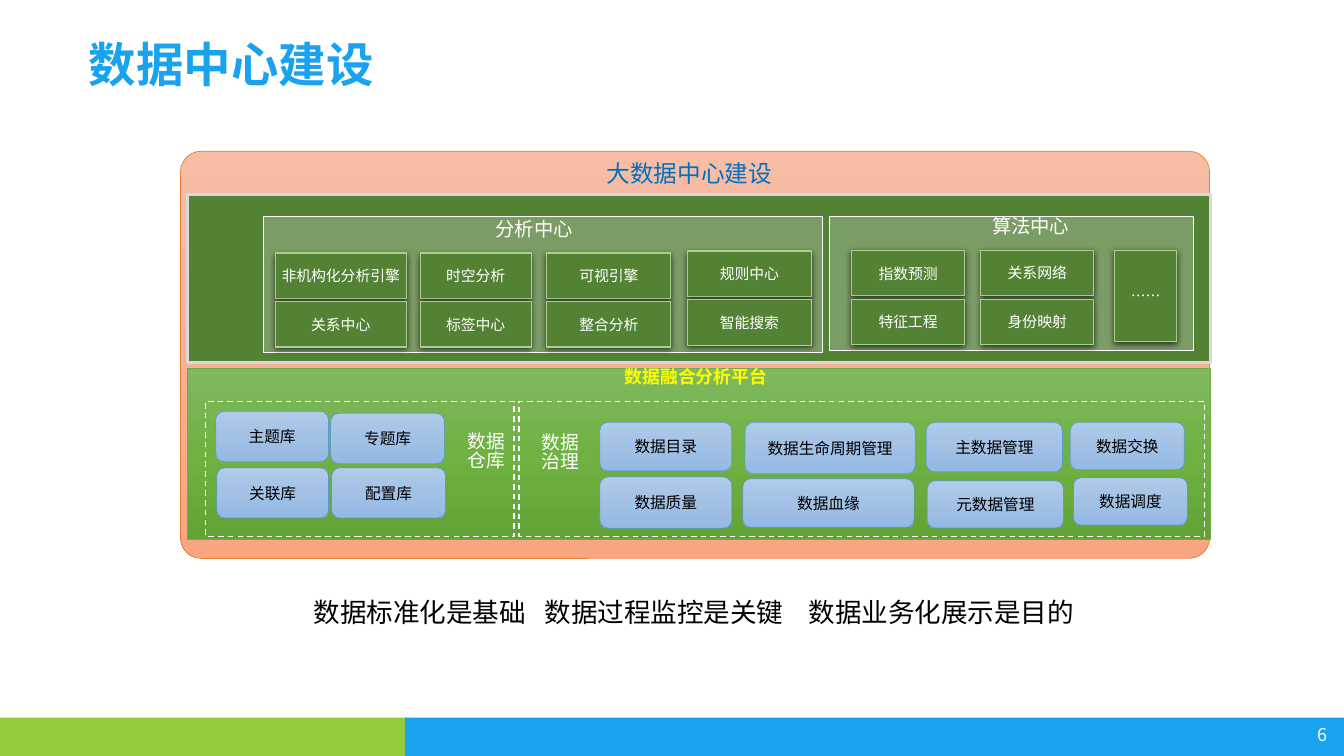
from copy import deepcopy
from lxml import etree
from pptx import Presentation
from pptx import util as u
from pptx.dml import color
from pptx.enum import dml, shapes, text
from pptx.oxml import ns

FONT = "Noto Sans CJK SC"
RECT = shapes.MSO_SHAPE.RECTANGLE
ROUND = shapes.MSO_SHAPE.ROUNDED_RECTANGLE
LEFT, CENTER, RIGHT = text.PP_ALIGN.LEFT, text.PP_ALIGN.CENTER, text.PP_ALIGN.RIGHT
TOP, MIDDLE = text.MSO_ANCHOR.TOP, text.MSO_ANCHOR.MIDDLE
paint = color.RGBColor.from_string

deck = Presentation()
deck.slide_width, deck.slide_height = u.Pt(960), u.Pt(540)
page = deck.slides.add_slide(deck.slide_layouts[6])


def draw(kind, place, fill=None, line=None, width=0.5, alpha=None, dashed=False, shadow=False):
    """Add a preset shape; a tuple of colours as fill makes a vertical gradient."""
    shape = page.shapes.add_shape(kind, *map(u.Pt, place))
    shape.shadow.inherit = False
    properties = shape._element.spPr
    if fill is None:
        shape.fill.background()
    elif isinstance(fill, tuple):
        shape.fill.gradient()
        shape.fill.gradient_angle = 270
        stop_list = properties.find(".//" + ns.qn("a:gsLst"))
        stop_list.insert(1, deepcopy(stop_list[0]))
        for stop, position, shade in zip(shape.fill.gradient_stops, (0, 0.5, 1), fill):
            stop.position = position
            stop.color.rgb = paint(shade)
    else:
        shape.fill.solid()
        shape.fill.fore_color.rgb = paint(fill)
    if alpha:
        solid = properties.find(ns.qn("a:solidFill"))
        etree.SubElement(solid[0], ns.qn("a:alpha"), val=str(alpha * 1000))
    if line:
        shape.line.color.rgb = paint(line)
        shape.line.width = u.Pt(width)
        if dashed:
            shape.line.dash_style = dml.MSO_LINE.DASH
    else:
        shape.line.fill.background()
    if shadow:
        effects = properties.find(ns.qn("a:effectLst"))
        outer = etree.SubElement(effects, ns.qn("a:outerShdw"), blurRad="57150",
                                 dist="19050", dir="5400000", algn="ctr", rotWithShape="0")
        black = etree.SubElement(outer, ns.qn("a:srgbClr"), val="000000")
        etree.SubElement(black, ns.qn("a:alpha"), val="63000")
    return shape


def write(content, size, shade, place=None, box=None, bold=False, align=CENTER,
          anchor=TOP, inset=(7.2, 3.6), spacing=0.9, wrap=True):
    """Write text into a given shape, or into a new text box at place."""
    box = box or page.shapes.add_textbox(*map(u.Pt, place))
    frame = box.text_frame
    frame.word_wrap = wrap
    frame.vertical_anchor = anchor
    frame.margin_left = frame.margin_right = u.Pt(inset[0])
    frame.margin_top = frame.margin_bottom = u.Pt(inset[1])
    frame.text = content
    for para in frame.paragraphs:
        para.alignment = align
        para.line_spacing = spacing
        for span in para.runs:
            span.font.size = u.Pt(size)
            span.font.bold = bold
            span.font.name = FONT
            span.font.color.rgb = paint(shade)
            etree.SubElement(span.font._element, ns.qn("a:ea"), typeface=FONT)
    return box


# Footer band, page number and title
draw(RECT, (0, 512.6, 290.9, 30.2), "90CC3D")
draw(RECT, (289.4, 512.6, 670.6, 30.2), "18A2EF")
write("6", 12.7, "FFFFFF", (852.5, 514, 105, 25.2), align=RIGHT, inset=(9.4, 5))
write("数据中心建设", 33.9, "18A2EF", (56.2, 26, 479.5, 48.2), bold=True, align=LEFT)

# Outer frame and platform panel
frame_panel = draw(ROUND, (128.9, 108, 735.1, 290.9), ("F7BDA5", "F5B196", "F8A582"), "ED7D31")
frame_panel.adjustments[0] = 0.051
draw(RECT, (133.9, 262.8, 730.8, 122.4), ("81B861", "6FB242", "62A336"), "70AD47")

# Data warehouse and data governance modules
modules = [
    ("主题库", 154.1, 293.8, 80.6, 36), ("专题库", 236.2, 295.2, 81.4, 36),
    ("关联库", 154.8, 334.1, 79.9, 36), ("配置库", 236.9, 334.1, 81.4, 36),
    ("数据目录", 428.4, 301.7, 94.3, 34.6), ("数据质量", 428.4, 340.6, 94.3, 36.7),
    ("数据生命周期管理", 532.1, 301.7, 121.7, 36.7), ("数据血缘", 530.6, 342, 122.4, 34.6),
    ("主数据管理", 661.7, 301.7, 97.2, 35.3), ("元数据管理", 662.4, 343.4, 97.2, 33.8),
    ("数据交换", 764.6, 301.7, 81.4, 33.8), ("数据调度", 766.8, 341.3, 81.4, 33.8),
]
for name, *place in modules:
    module = draw(ROUND, place, ("B1CBE9", "A3C1E5", "93B9E4"), "5B9BD5")
    write(name, 11.2, "000000", box=module, anchor=MIDDLE, spacing=1)
for left, width in ((146.9, 220.3), (370.8, 489.6)):
    draw(RECT, (left, 286.6, width, 96.5), line="FFFFFF", width=1, dashed=True)
write("数据\n仓库", 13.4, "FFFFFF", (313.9, 306, 67, 40.3), spacing=0.85)
write("数据\n治理", 13.4, "FFFFFF", (372.2, 306.7, 56.2, 40.3), spacing=0.85)
write("数据融合分析平台", 12.7, "FFFF00", (377.3, 259.2, 239.8, 22.3), bold=True)

# Analysis centre and algorithm centre panels
draw(RECT, (133.9, 139, 730.8, 120.2), "548235", "D9D9D9", 2)
draw(RECT, (187.9, 154.8, 399.6, 97.2), "D9D9D9", "FFFFFF", alpha=30)
write("分析中心", 13.8, "FFFFFF", (346.3, 153.4, 70.6, 24.5), wrap=False)
draw(RECT, (592.6, 154.8, 259.9, 95.8), "D9D9D9", "FFFFFF", alpha=30)
write("算法中心", 13.8, "FFFFFF", (681.1, 151.2, 110.2, 24.5))

# Engine columns: left, top, width, height, names from top to bottom
engine_columns = [
    (196.6, 180.7, 93.6, 32.4, ("非机构化分析引擎", "关系中心")),
    (300.2, 180.7, 79.2, 32.4, ("时空分析", "标签中心")),
    (390.6, 180.7, 88.6, 32.4, ("可视引擎", "整合分析")),
    (491, 179.3, 88.6, 32.4, ("规则中心", "智能搜索")),
    (608.4, 179, 80.6, 32.4, ("指数预测", "特征工程")),
    (700.6, 178.8, 80.6, 32.4, ("关系网络", "身份映射")),
    (796.3, 178.6, 43.9, 65.5, ("……",)),
]
for left, top, width, height, names in engine_columns:
    for row, name in enumerate(names):
        engine = draw(RECT, (left, top + row * 34.8, width, height),
                      "548235", "A9D18E", 0.75, shadow=True)
        write(name, 10.6, "FFFFFF", box=engine, anchor=MIDDLE, inset=(0.7, 0.7), spacing=1)

# Frame heading and closing line with tab stops
write("大数据中心建设", 16.9, "0070C0", (300.2, 110.2, 384.5, 28.8), anchor=MIDDLE, inset=(4.3, 4.3))
closing = write("数据标准化是基础\t数据过程监控是关键\t数据业务化展示是目的", 19, "000000",
                (217, 425.5, 645.6, 30.2), align=LEFT, spacing=0.87)
tabs = etree.SubElement(closing.text_frame.paragraphs[0]._p.get_or_add_pPr(), ns.qn("a:tabLst"))
for stop in (165, 353.6):
    etree.SubElement(tabs, ns.qn("a:tab"), pos=str(u.Pt(stop)), algn="l")

deck.save("out.pptx")
